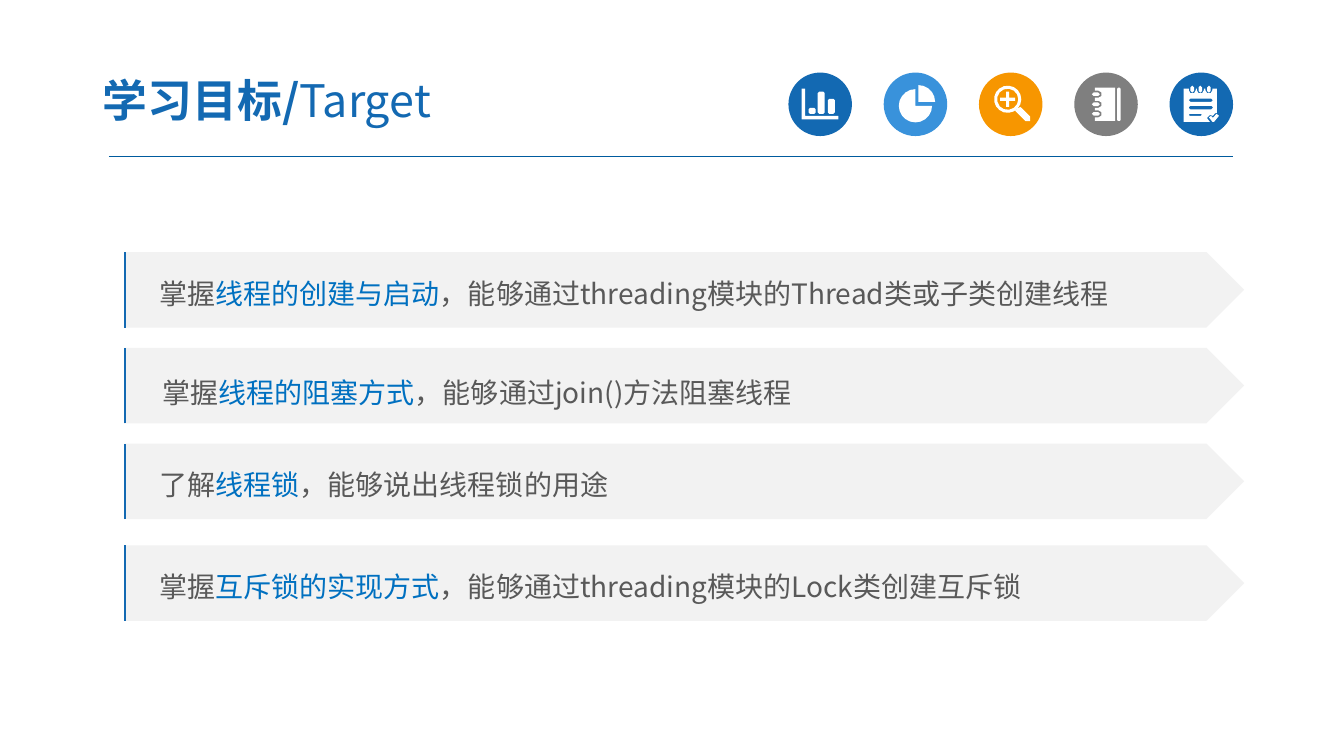
from math import ceil, cos, radians, sin

from lxml.etree import SubElement
from pptx import Presentation
from pptx.dml.color import RGBColor
from pptx.enum.shapes import MSO_CONNECTOR, MSO_SHAPE
from pptx.enum.text import MSO_ANCHOR, PP_ALIGN
from pptx.oxml.ns import qn
from pptx.util import Inches, Pt

FONT = "Noto Sans CJK SC"
COLORS = {
    "blue": "1369B2", "sky": "3992DB", "orange": "F79600", "gray": "7F7F7F",
    "white": "FFFFFF", "bar": "F2F2F2", "text": "595959", "key": "0070C0",
    "rule": "005B9E",
}
COLORS = {name: RGBColor.from_string(value) for name, value in COLORS.items()}


def arc(x, y, radius, start, end):
    """Points along an arc; angles in degrees, clockwise from the right."""
    steps = ceil(abs(end - start) * radius / 3000)
    angles = [radians(start + (end - start) * i / steps) for i in range(steps + 1)]
    return [(x + radius * cos(a), y + radius * sin(a)) for a in angles]


def rounded(left, top, right, bottom, radius=15):
    """Outline of a rounded rectangle."""
    return (arc(right - radius, top + radius, radius, -90, 0)
            + arc(right - radius, bottom - radius, radius, 0, 90)
            + arc(left + radius, bottom - radius, radius, 90, 180)
            + arc(left + radius, top + radius, radius, 180, 270))


deck = Presentation()
deck.slide_width, deck.slide_height = Inches(13.33), Inches(7.5)
page = deck.slides.add_slide(deck.slide_layouts[6])
shapes = page.shapes

# Icon outlines, in thousandths of an inch from the centre of the badge
chart_icon = [
    [(-185, -155), (-150, -155), (-150, 115), (180, 115), (180, 150), (-185, 150)],
    rounded(-115, 35, -45, 95),
    rounded(-25, -125, 45, 95),
    rounded(75, -55, 145, 95),
]
pie_icon = [
    [(30, -25)] + arc(30, -25, 165, -90, 0),
    [(0, 15)] + arc(0, 15, 165, 0, 270),
]
plus = [(15, -15), (75, -15), (75, 15), (15, 15), (15, 75), (-15, 75),
        (-15, 15), (-75, 15), (-75, -15), (-15, -15), (-15, -75), (15, -75)]
search_icon = [
    arc(-30, -50, 135, 0, 360),
    arc(-30, -50, 105, 0, 360),
    [(x - 30, y - 50) for x, y in plus],
    [(45, 65)] + arc(170, 145, 32, 135, -45) + [(95, 25), (67, 47)],
]
binding = (-100, 0, 95)
cover = [(-110, -165), (90, -165), (90, 165), (-110, 165)]
for y in reversed(binding):
    cover += [(-110, y + 35)] + arc(-75, y, 35, 90, -90) + [(-110, y - 35)]
notebook_icon = [cover, rounded(110, -165, 145, 165, 10)]
notebook_icon += [rounded(-140, y - 18, -60, y + 18, 18) for y in binding]
rings = (-90, -10, 75)
sheet = [(-175, -155)]
for x in rings:
    sheet += [(x - 35, -155)] + arc(x, -140, 35, 180, 0) + [(x + 35, -155)]
sheet += [(155, -155), (155, 85), (135, 90), (115, 115), (85, 105),
          (55, 135), (85, 175), (-175, 175)]
notepad_icon = [
    sheet,
    rounded(-125, -55, 115, -25),
    rounded(-125, 15, 115, 50),
    rounded(-125, 95, 5, 115, 10),
    [(75, 130), (95, 115), (115, 135), (150, 95), (175, 115), (125, 175), (110, 175)],
]
notepad_icon += [rounded(x - 18, -185, x + 18, -115, 18) for x in rings]

badges = [("blue", chart_icon), ("sky", pie_icon), ("orange", search_icon),
          ("gray", notebook_icon), ("blue", notepad_icon)]
badge_size = 0.63
for index, (color, outlines) in enumerate(badges):
    left, top = 7.82 + 0.945 * index, 0.72
    badge = shapes.add_shape(MSO_SHAPE.OVAL, Inches(left), Inches(top),
                             Inches(badge_size), Inches(badge_size))
    builder = shapes.build_freeform(*outlines[0][0], scale=Inches(1) / 1000)
    for outline in outlines:
        builder.move_to(*outline[0])
        builder.add_line_segments(outline[1:], close=True)
    icon = builder.convert_to_shape(Inches(left + badge_size / 2),
                                    Inches(top + badge_size / 2))
    for part, fill in ((badge, color), (icon, "white")):
        part.shadow.inherit = False
        part.fill.solid()
        part.fill.fore_color.rgb = COLORS[fill]
        part.line.fill.background()

title = shapes.add_textbox(Inches(0.89), Inches(0.63), Inches(5.22), Inches(0.72))
title.text_frame.word_wrap = True
title.text_frame.vertical_anchor = MSO_ANCHOR.MIDDLE
title.text_frame.margin_left = title.text_frame.margin_right = Inches(0.13)
title.text_frame.margin_top = title.text_frame.margin_bottom = Inches(0.07)
# Each entry: paragraph, then its spans as text, colour, size, bold
texts = [(title.text_frame.paragraphs[0],
          [("学习目标/", "blue", 32, True), ("Target", "blue", 32, False)])]

# Top of bar, text indent, extra top margin, three parts of the sentence
goals = [
    (2.5, 0.35, 0, "掌握", "线程的创建与启动",
     "，能够通过threading模块的Thread类或子类创建线程"),
    (3.45, 0.38, 0.06, "掌握", "线程的阻塞方式", "，能够通过join()方法阻塞线程"),
    (4.4, 0.35, 0, "了解", "线程锁", "，能够说出线程锁的用途"),
    (5.41, 0.35, 0, "掌握", "互斥锁的实现方式",
     "，能够通过threading模块的Lock类创建互斥锁"),
]
lines = [(1.08, 1.55, 12.23, 1.55, "rule", 0.75)]
for top, indent, drop, verb, topic, detail in goals:
    bar = shapes.add_shape(MSO_SHAPE.PENTAGON, Inches(1.23), Inches(top),
                           Inches(11.11), Inches(0.75))
    bar.shadow.inherit = False
    bar.fill.solid()
    bar.fill.fore_color.rgb = COLORS["bar"]
    bar.line.fill.background()
    frame = bar.text_frame
    frame.word_wrap = True
    frame.vertical_anchor = MSO_ANCHOR.MIDDLE
    frame.margin_left = Inches(indent)
    frame.margin_top = Inches(0.05 + drop)
    para = frame.paragraphs[0]
    para.alignment = PP_ALIGN.LEFT
    para.line_spacing = 1.2
    texts.append((para, [(verb, "text", 20, False), (topic, "key", 20, False),
                         (detail, "text", 20, False)]))
    lines.append((1.24, top + 0.75, 1.24, top, "blue", 1.5))

for start_x, start_y, end_x, end_y, color, width in lines:
    line = shapes.add_connector(MSO_CONNECTOR.STRAIGHT, Inches(start_x),
                                Inches(start_y), Inches(end_x), Inches(end_y))
    line.line.color.rgb = COLORS[color]
    line.line.width = Pt(width)
    SubElement(line._element.spPr, qn("a:effectLst"))

for para, spans in texts:
    for text, color, size, bold in spans:
        span = para.add_run()
        span.text = text
        span.font.size = Pt(size)
        span.font.bold = bold
        span.font.color.rgb = COLORS[color]
        span.font.name = FONT
        SubElement(span.font._element, qn("a:ea"), typeface=FONT)

deck.save("out.pptx")
